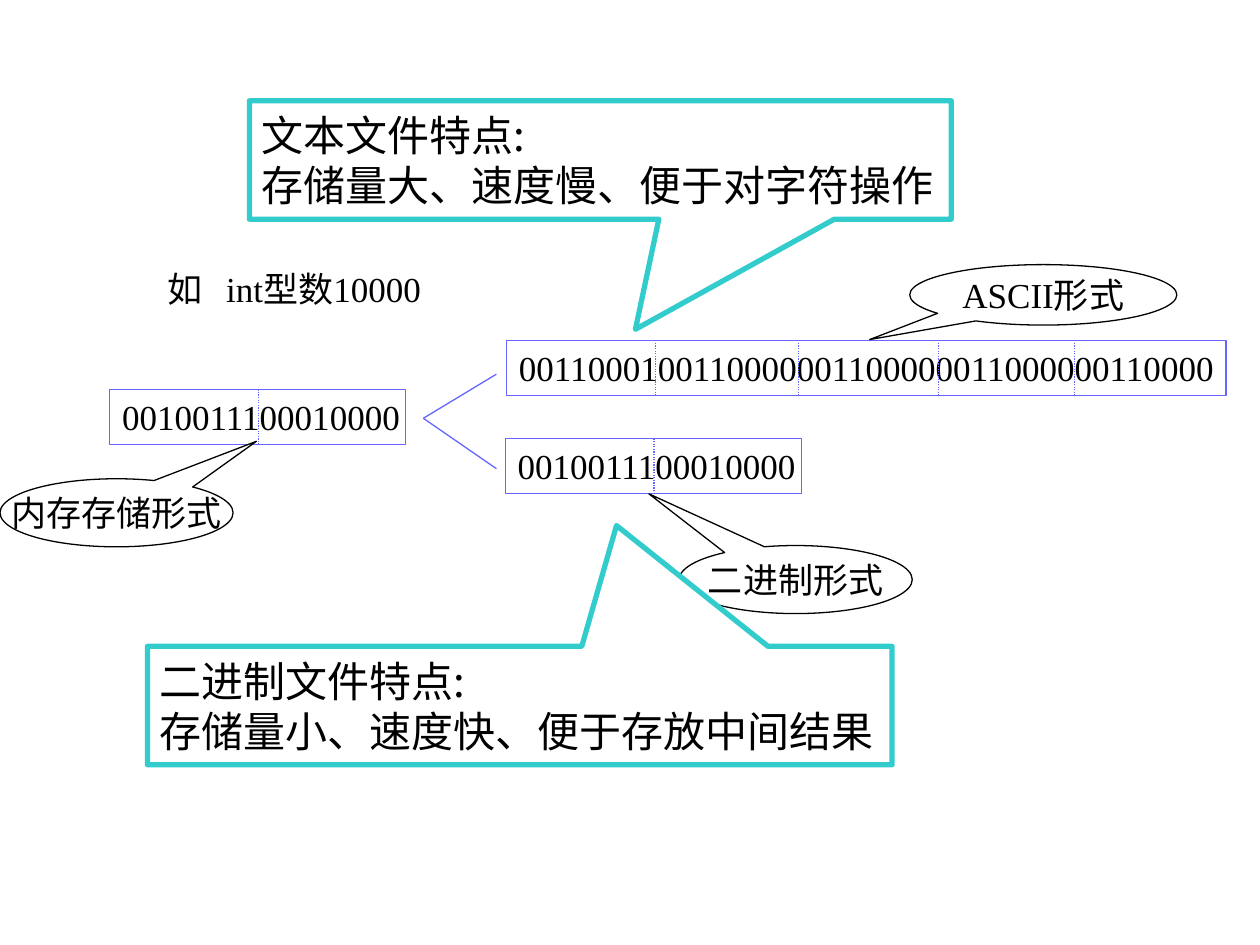
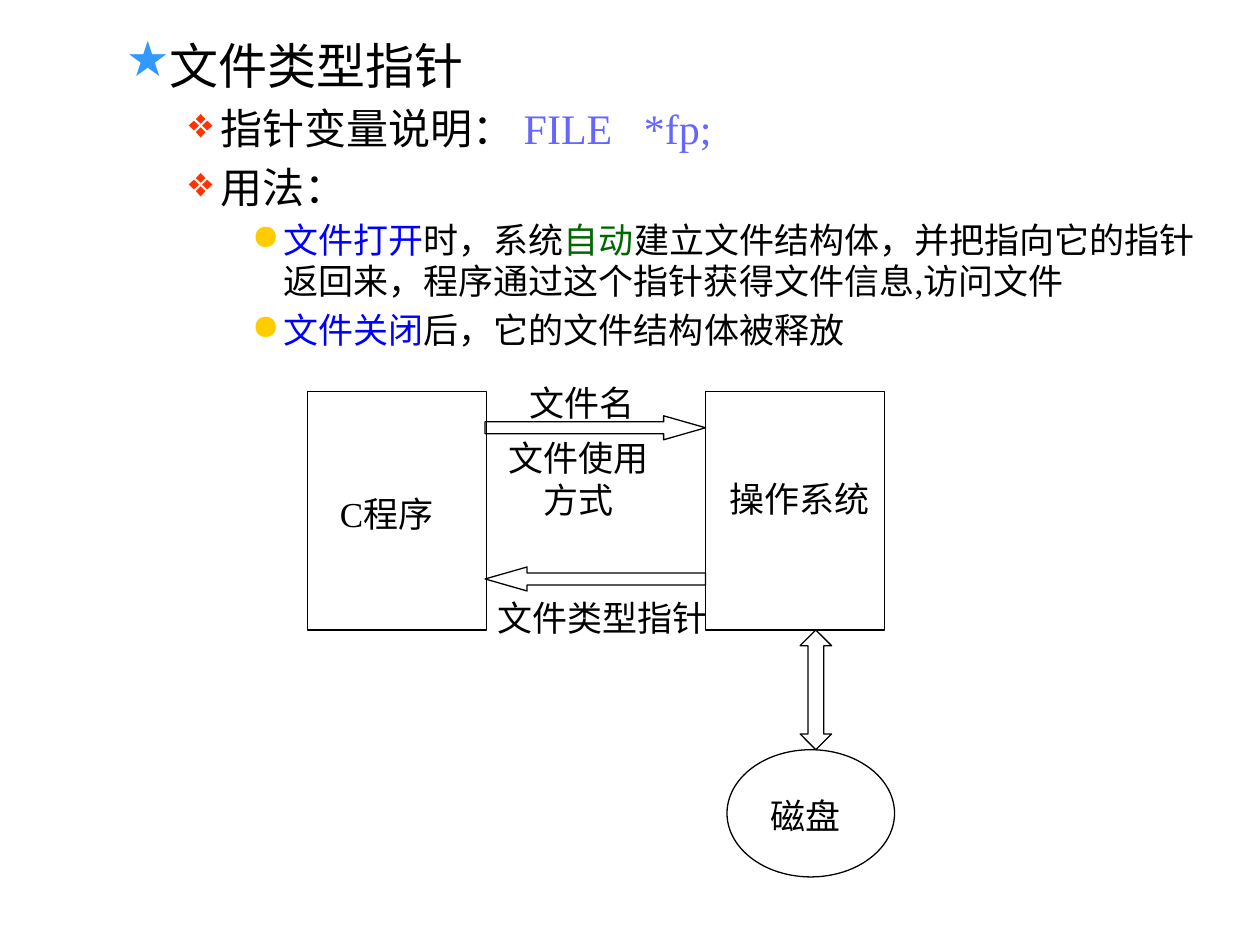
from lxml.etree import SubElement
from pptx import Presentation
from pptx.dml.color import RGBColor
from pptx.enum.dml import MSO_LINE
from pptx.enum.shapes import MSO_CONNECTOR, MSO_SHAPE
from pptx.enum.text import MSO_ANCHOR, PP_ALIGN
from pptx.oxml.ns import qn
from pptx.util import Inches, Pt

BLACK = RGBColor(0x00, 0x00, 0x00)
WHITE = RGBColor(0xFF, 0xFF, 0xFF)
VIOLET = RGBColor(0x66, 0x66, 0xFF)
TEAL = RGBColor(0x33, 0xCC, 0xCC)
BLUE = RGBColor(0x00, 0x00, 0xFF)
GREEN = RGBColor(0x00, 0x66, 0x00)
SKY = RGBColor(0x33, 0x99, 0xFF)
RED = RGBColor(0xFF, 0x33, 0x00)
YELLOW = RGBColor(0xFF, 0xCC, 0x00)

SERIF = "Times New Roman"
SANS = "Noto Sans CJK SC"
LINE_HEIGHT = 1.19

BULLET_LEVELS = {
    1: ("★", SKY, 28, 0.81, -0.31),
    2: ("❖", RED, 24, 1.25, -0.25),
    3: ("●", YELLOW, 20, 1.75, -0.25),
}


def format_run(run, size, color=BLACK, font=SERIF):
    run.font.size = Pt(size)
    run.font.name = font
    run.font.color.rgb = color
    SubElement(run._r.get_or_add_rPr(), qn("a:ea"), typeface=SANS)


def write_text(shape, text, size=20, font=SERIF, align=PP_ALIGN.LEFT,
               anchor=MSO_ANCHOR.MIDDLE, wrap=False):
    text_frame = shape.text_frame
    text_frame.text = text
    text_frame.word_wrap = wrap
    text_frame.vertical_anchor = anchor
    for paragraph in text_frame.paragraphs:
        paragraph.alignment = align
        paragraph.line_spacing = Pt(size * LINE_HEIGHT)
        for run in paragraph.runs:
            format_run(run, size, font=font)


def add_outline(slide, kind, box, line=BLACK, width=0.75, fill=None, adjustments=()):
    shape = slide.shapes.add_shape(kind, *map(Inches, box))
    shape.shadow.inherit = False
    if fill is None:
        shape.fill.background()
    else:
        shape.fill.solid()
        shape.fill.fore_color.rgb = fill
    shape.line.color.rgb = line
    shape.line.width = Pt(width)
    for index, value in enumerate(adjustments):
        shape.adjustments[index] = value
    return shape


def add_label(slide, box, text, align=PP_ALIGN.LEFT, anchor=MSO_ANCHOR.TOP, wrap=False):
    label = slide.shapes.add_textbox(*map(Inches, box))
    write_text(label, text, align=align, anchor=anchor, wrap=wrap)


def add_line(slide, start, end, dotted=False):
    connector = slide.shapes.add_connector(
        MSO_CONNECTOR.STRAIGHT, *map(Inches, (*start, *end)))
    connector.line.color.rgb = VIOLET
    connector.line.width = Pt(0.75)
    if dotted:
        connector.line.dash_style = MSO_LINE.ROUND_DOT
    SubElement(connector._element.spPr, qn("a:effectLst"))


def add_bit_box(slide, left, top, width, bits, separators):
    height = 0.44
    box = add_outline(slide, MSO_SHAPE.RECTANGLE, (left, top, width, height), VIOLET, fill=WHITE)
    write_text(box, bits)
    box.text_frame.margin_right = 0
    for x in separators:
        add_line(slide, (x, top), (x, top + height), dotted=True)


def add_form_callout(slide, box, text, pointer):
    callout = add_outline(slide, MSO_SHAPE.OVAL_CALLOUT, box, fill=WHITE, adjustments=pointer)
    write_text(callout, text, align=PP_ALIGN.CENTER)


def add_feature_callout(slide, box, text, pointer):
    callout = add_outline(slide, MSO_SHAPE.RECTANGULAR_CALLOUT, box, TEAL, 3, WHITE, pointer)
    write_text(callout, text, size=24, font=SANS)


def add_bullet(paragraph, level, pieces):
    symbol, color, size, left, indent = BULLET_LEVELS[level]
    paragraph.level = level - 1
    paragraph.line_spacing = Pt(size * LINE_HEIGHT)
    paragraph.space_before = Pt(size * 0.2)
    properties = paragraph._p.get_or_add_pPr()
    properties.set("marL", str(Inches(left)))
    properties.set("indent", str(Inches(indent)))
    bullet_color = SubElement(properties, qn("a:buClr"))
    SubElement(bullet_color, qn("a:srgbClr"), val=str(color))
    SubElement(properties, qn("a:buChar"), char=symbol)
    for text, text_color in pieces:
        run = paragraph.add_run()
        run.text = text
        format_run(run, size, text_color)


def add_bullet_list(slide, box, items):
    text_frame = slide.shapes.add_textbox(*map(Inches, box)).text_frame
    text_frame.word_wrap = True
    for index, (level, pieces) in enumerate(items):
        paragraph = text_frame.add_paragraph() if index else text_frame.paragraphs[0]
        add_bullet(paragraph, level, pieces)


def build_storage_slide(slide):
    integer_bits = "0010011100010000"
    add_label(slide, (1.22, 2.08, 2.23, 0.43), "如   int型数10000",
              PP_ALIGN.CENTER, MSO_ANCHOR.MIDDLE, wrap=True)
    add_bit_box(slide, 0.87, 3.09, 2.35, integer_bits, [2.05])
    add_form_callout(slide, (0, 3.8, 1.85, 0.54), "内存存储形式", (0.6, -1.05))
    add_bit_box(slide, 4.01, 3.48, 2.35, integer_bits, [5.19])
    add_form_callout(slide, (5.39, 4.33, 1.85, 0.54), "二进制形式", (-0.63, -1.26))
    add_bit_box(slide, 4.02, 2.7, 5.71, "0011000100110000001100000011000000110000",
                [5.2, 6.34, 7.45, 8.53])
    add_form_callout(slide, (7.22, 2.1, 2.12, 0.48), "ASCII形式", (-0.65, 0.74))
    for branch_end in (2.97, 3.72):
        add_line(slide, (3.36, 3.32), (3.94, branch_end))
    add_feature_callout(slide, (1.98, 0.8, 5.57, 0.94),
                        "文本文件特点:\n存储量大、速度慢、便于对字符操作", (0.05, 1.43))
    add_feature_callout(slide, (1.17, 5.13, 5.91, 0.94),
                        "二进制文件特点:\n存储量小、速度快、便于存放中间结果", (0.13, -1.52))


def build_pointer_slide(slide):
    add_bullet_list(slide, (0.4, 0.24, 9.35, 3.44), [
        (1, [("文件类型指针", BLACK)]),
        (2, [("指针变量说明： ", BLACK), ("FILE   *fp;", VIOLET)]),
        (2, [("用法：", BLACK)]),
        (3, [("文件打开", BLUE), ("时，系统", BLACK), ("自动", GREEN),
             ("建立文件结构体，并把指向它的指针返回来，程序通过这个指针获得文件信息,访问文件", BLACK)]),
        (3, [("文件关闭", BLUE), ("后，它的文件结构体被释放", BLACK)]),
    ])
    for left in (2.44, 5.6):
        add_outline(slide, MSO_SHAPE.RECTANGLE, (left, 3.11, 1.42, 1.89))
    add_outline(slide, MSO_SHAPE.OVAL, (5.77, 5.95, 1.33, 1.01))
    for kind, top in ((MSO_SHAPE.RIGHT_ARROW, 3.3), (MSO_SHAPE.LEFT_ARROW, 4.5)):
        add_outline(slide, kind, (3.85, top, 1.75, 0.19), adjustments=(0.5, 1.75))
    add_outline(slide, MSO_SHAPE.UP_DOWN_ARROW, (6.35, 5, 0.25, 0.95), adjustments=(1, 0.5))
    add_label(slide, (4.1, 2.98, 1.15, 0.43), "文件名")
    add_label(slide, (3.89, 3.42, 1.41, 0.77), "文件使用\n方式", PP_ALIGN.CENTER)
    add_label(slide, (3.85, 4.69, 1.97, 0.43), "文件类型指针")
    add_label(slide, (2.6, 3.86, 0.94, 0.43), "C程序", wrap=True)
    add_label(slide, (5.69, 3.74, 1.41, 0.43), "操作系统")
    add_label(slide, (6.02, 6.26, 0.86, 0.43), "磁盘")


def main():
    presentation = Presentation()
    presentation.slide_width = Inches(10)
    presentation.slide_height = Inches(7.5)
    blank_layout = presentation.slide_layouts[6]
    for build_slide in (build_storage_slide, build_pointer_slide):
        build_slide(presentation.slides.add_slide(blank_layout))
    presentation.save("out.pptx")


if __name__ == "__main__":
    main()
